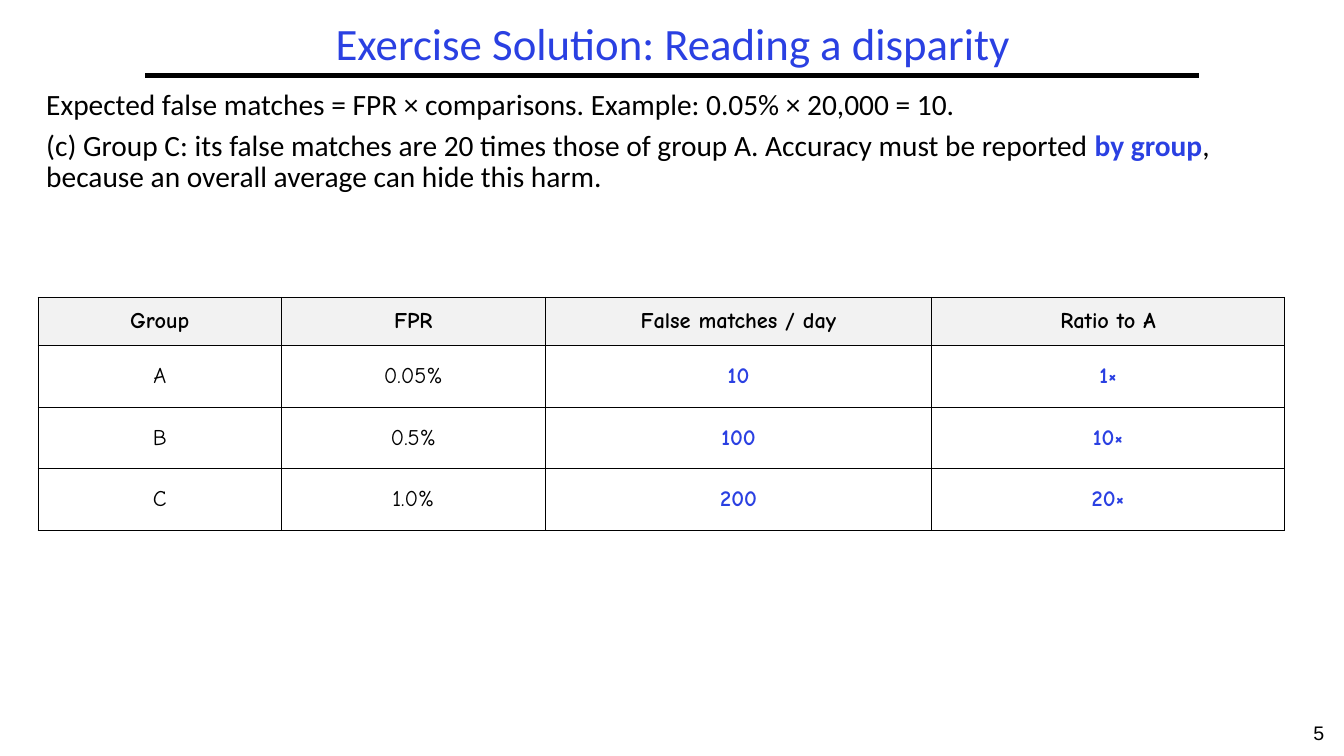
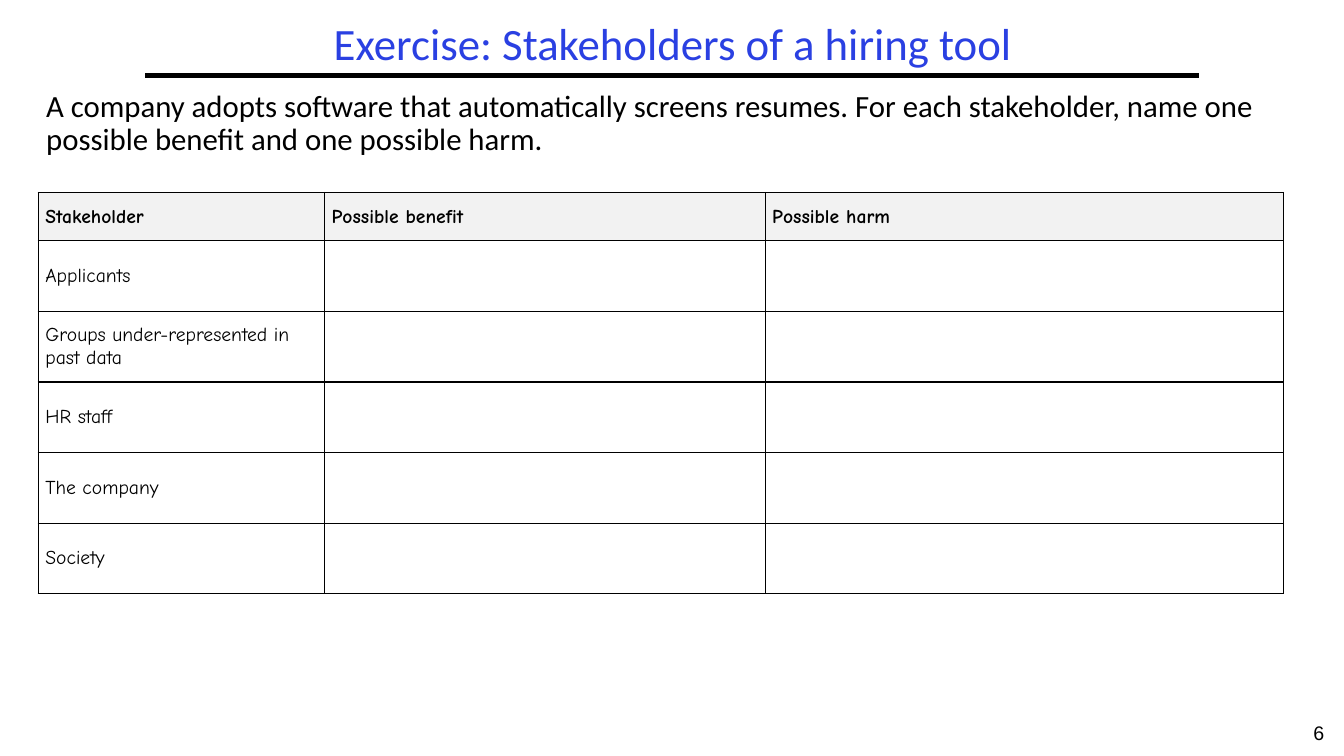
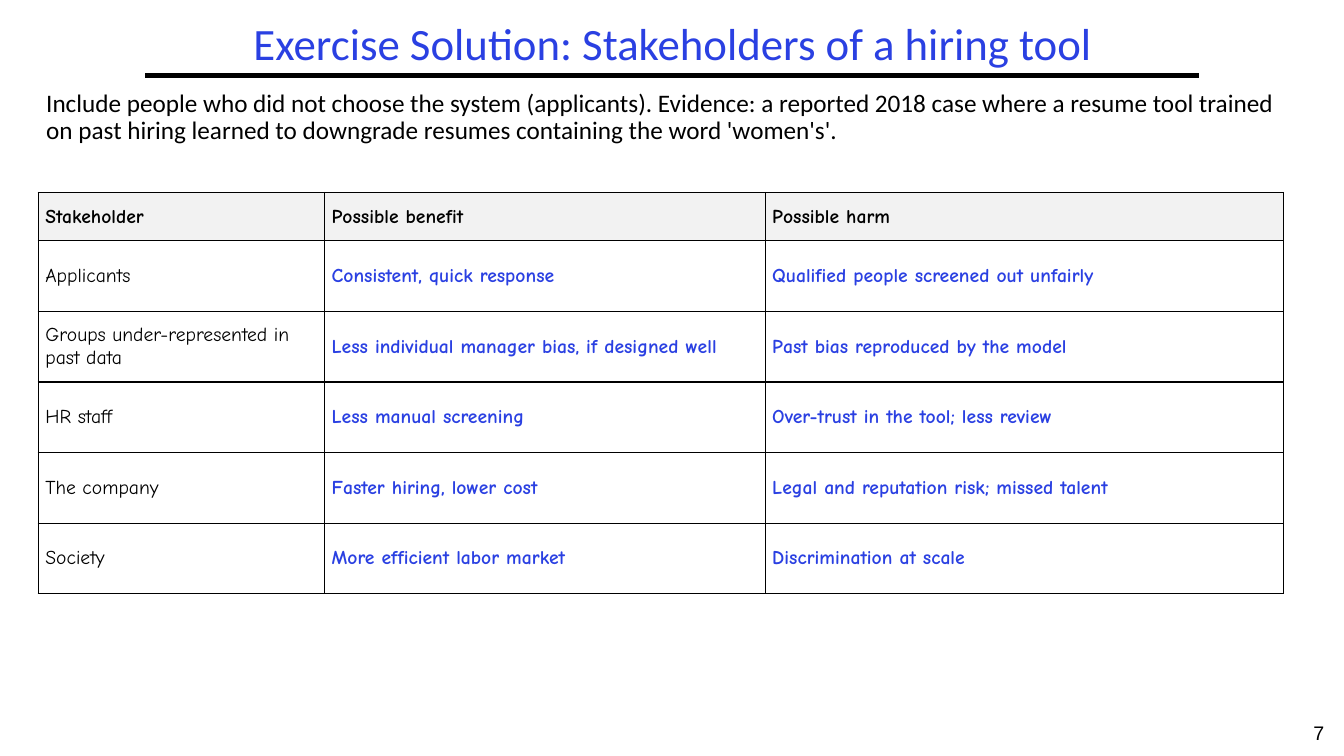
"""Build three exercise slides about disparities and stakeholders, each with a table."""
from dataclasses import dataclass

from lxml import etree
from pptx import Presentation
from pptx.dml.color import RGBColor
from pptx.enum.shapes import MSO_CONNECTOR
from pptx.enum.text import MSO_ANCHOR, MSO_AUTO_SIZE, PP_ALIGN
from pptx.oxml import parse_xml
from pptx.oxml.ns import nsdecls, qn
from pptx.util import Pt

STRAIGHT = MSO_CONNECTOR.STRAIGHT
TOP, MIDDLE = MSO_ANCHOR.TOP, MSO_ANCHOR.MIDDLE
LEFT, CENTER = PP_ALIGN.LEFT, PP_ALIGN.CENTER
NO_AUTOFIT = MSO_AUTO_SIZE.NONE
PX = 9144


@dataclass(frozen=True)
class Theme:
    ink: str = "000000"
    accent: str = "2A40E2"
    header_fill: str = "F2F2F2"
    cell_fill: str = "FFFFFF"
    text_font: str = "Calibri"
    table_font: str = "Comic Neue"
    number_font: str = "Arial"
    title_size: int = 32
    number_size: int = 14
    rule_width: int = 3
    border_width: int = 1


THEME = Theme()


def place(shape, left, top, width, height):
    bounds = {"left": left, "top": top, "width": width, "height": height}
    for name, value in bounds.items():
        setattr(shape, name, value * PX)


def add_span(para, text, color, **font_values):
    span = para.add_run()
    span.text = text
    for name, value in font_values.items():
        setattr(span.font, name, value)
    span.font.color.rgb = RGBColor.from_string(color)


STAKEHOLDER_HEADER = ["Stakeholder", "Possible benefit", "Possible harm"]
STAKEHOLDER_ANSWERS = [
    ["Applicants", "Consistent, quick response", "Qualified people screened out unfairly"],
    ["Groups under-represented in past data", "Less individual manager bias, if designed well",
     "Past bias reproduced by the model"],
    ["HR staff", "Less manual screening", "Over-trust in the tool; less review"],
    ["The company", "Faster hiring, lower cost", "Legal and reputation risk; missed talent"],
    ["Society", "More efficient labor market", "Discrimination at scale"],
]
STAKEHOLDER_TABLE = {
    "top": 191, "columns": [284, 437, 514], "row_height": 70,
    "given_columns": 1, "align": LEFT, "table_size": 14,
}

PAGES = [
    {
        "title": "Exercise Solution: Reading a disparity",
        "body_size": 21,
        "body": [
            [("Expected false matches = FPR × comparisons. Example: 0.05% × 20,000 = 10.", False)],
            [("(c) Group C: its false matches are 20 times those of group A. "
              "Accuracy must be reported ", False),
             ("by group", True),
             (", because an overall average can hide this harm.", False)],
        ],
        "top": 295, "columns": [241, 262, 383, 350], "row_height": 61,
        "given_columns": 2, "align": CENTER, "table_size": 16,
        "rows": [
            ["Group", "FPR", "False matches / day", "Ratio to A"],
            ["A", "0.05%", "10", "1×"],
            ["B", "0.5%", "100", "10×"],
            ["C", "1.0%", "200", "20×"],
        ],
    },
    {
        "title": "Exercise: Stakeholders of a hiring tool",
        "body_size": 22,
        "body": [
            [("A company adopts software that automatically screens resumes. For each "
              "stakeholder, name one possible benefit and one possible harm.", False)],
        ],
        "rows": [STAKEHOLDER_HEADER] + [[row[0], "", ""] for row in STAKEHOLDER_ANSWERS],
        **STAKEHOLDER_TABLE,
    },
    {
        "title": "Exercise Solution: Stakeholders of a hiring tool",
        "body_size": 18,
        "body": [
            [("Include people who did not choose the system (applicants). Evidence: a reported "
              "2018 case where a resume tool trained on past hiring learned to downgrade "
              "resumes containing the word 'women's'.", False)],
        ],
        "rows": [STAKEHOLDER_HEADER] + STAKEHOLDER_ANSWERS,
        **STAKEHOLDER_TABLE,
    },
]
FIRST_NUMBER = 5
HEADER_HEIGHT = 48
BODY_TOP = 85
FRAME_FORMAT = {"word_wrap": True, "auto_size": NO_AUTOFIT}
CELL_FORMAT = {
    "margin_left": 7 * PX, "margin_right": 7 * PX,
    "margin_top": 3 * PX, "margin_bottom": 3 * PX,
    "vertical_anchor": MIDDLE,
}

deck = Presentation()
deck.slide_width, deck.slide_height = 1333 * PX, 750 * PX

for number, page in enumerate(PAGES, FIRST_NUMBER):
    slide = deck.slides.add_slide(deck.slide_layouts[5])

    rule = slide.shapes.add_connector(STRAIGHT, 144 * PX, 75 * PX, 1189 * PX, 75 * PX)
    rule.line.width = Pt(THEME.rule_width)
    rule.line.color.rgb = RGBColor.from_string(THEME.ink)
    etree.SubElement(rule._element.spPr, qn("a:effectLst"))

    title_box = slide.shapes.title
    number_box = slide.shapes.add_textbox(0, 0, 0, 0)
    body_box = slide.shapes.add_textbox(0, 0, 0, 0)
    place(title_box, 144, 17, 1047, 58)
    place(number_box, 1283, 710, 50, 40)
    place(body_box, 36, BODY_TOP, 1258, page["top"] - BODY_TOP)
    for box, anchor in ((title_box, MIDDLE), (number_box, TOP), (body_box, TOP)):
        for name, value in {**FRAME_FORMAT, "vertical_anchor": anchor}.items():
            setattr(box.text_frame, name, value)

    para = title_box.text_frame.paragraphs[0]
    para.alignment, para.line_spacing = CENTER, 0.9
    add_span(para, page["title"], THEME.accent, name=THEME.text_font,
             size=Pt(THEME.title_size))

    para = number_box.text_frame.paragraphs[0]
    para.alignment = CENTER
    add_span(para, str(number), THEME.ink, name=THEME.number_font, size=Pt(THEME.number_size))

    for index, spans in enumerate(page["body"]):
        frame = body_box.text_frame
        para = frame.add_paragraph() if index else frame.paragraphs[0]
        para.line_spacing = 0.9
        para.space_before = Pt(6 if index else 0)
        for text, strong in spans:
            add_span(para, text, THEME.accent if strong else THEME.ink,
                     name=THEME.text_font, size=Pt(page["body_size"]), bold=strong)

    rows, columns = page["rows"], page["columns"]
    heights = [HEADER_HEIGHT] + [page["row_height"]] * (len(rows) - 1)
    table = slide.shapes.add_table(
        len(rows), len(columns), 38 * PX, page["top"] * PX,
        sum(columns) * PX, sum(heights) * PX).table
    table.horz_banding = False
    for column, width in zip(table.columns, columns):
        column.width = width * PX
    for row_index, (row, height) in enumerate(zip(rows, heights)):
        table.rows[row_index].height = height * PX
        header = row_index == 0
        for column_index, text in enumerate(row):
            cell = table.cell(row_index, column_index)
            for name, value in CELL_FORMAT.items():
                setattr(cell, name, value)
            for side in ("lnL", "lnR", "lnT", "lnB"):
                cell._tc.get_or_add_tcPr().append(parse_xml(
                    f'<a:{side} {nsdecls("a")} w="{Pt(THEME.border_width)}"><a:solidFill>'
                    f'<a:srgbClr val="{THEME.ink}"/></a:solidFill></a:{side}>'))
            cell.fill.solid()
            cell.fill.fore_color.rgb = RGBColor.from_string(
                THEME.header_fill if header else THEME.cell_fill)
            if text:
                answer = not header and column_index >= page["given_columns"]
                para = cell.text_frame.paragraphs[0]
                para.alignment = page["align"]
                add_span(para, text, THEME.accent if answer else THEME.ink,
                         name=THEME.table_font, size=Pt(page["table_size"]),
                         bold=header or answer)

deck.save("out.pptx")
